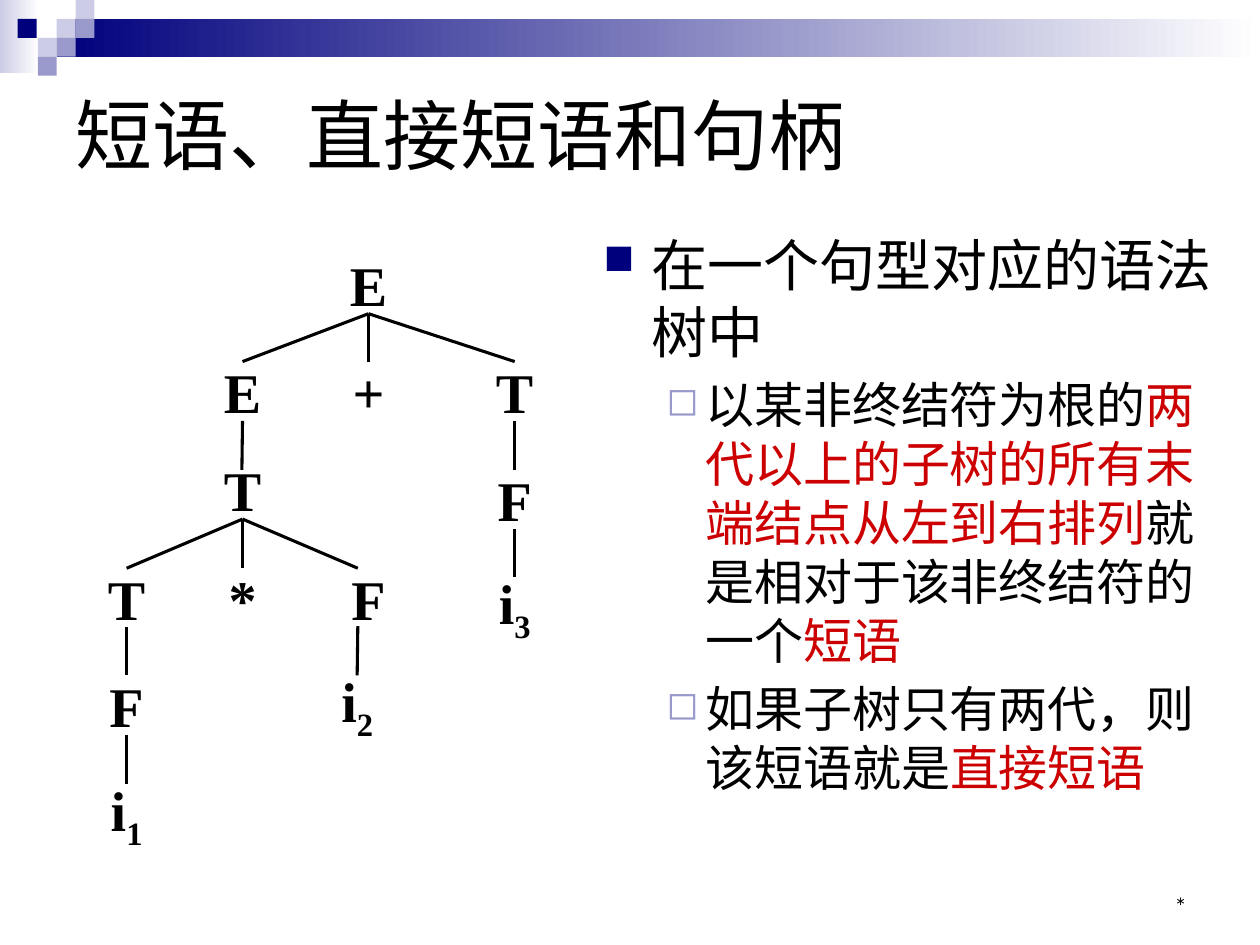
from dataclasses import dataclass

from lxml import etree
from pptx import Presentation
from pptx.dml.color import RGBColor
from pptx.enum.shapes import MSO_CONNECTOR, MSO_SHAPE
from pptx.enum.text import MSO_ANCHOR, PP_ALIGN
from pptx.oxml.ns import qn
from pptx.util import Inches, Pt

RECT = MSO_SHAPE.RECTANGLE
LINE = MSO_CONNECTOR.STRAIGHT
TOP, MID, LOW = MSO_ANCHOR.TOP, MSO_ANCHOR.MIDDLE, MSO_ANCHOR.BOTTOM
LEFT, MIDST, RIGHT = PP_ALIGN.LEFT, PP_ALIGN.CENTER, PP_ALIGN.RIGHT
HAN = "Noto Sans CJK SC"
BLACK, WHITE, RED = "000000", "FFFFFF", "CC0000"
NAVY, MAUVE, PALE = "00007D", "9999CC", "CCCCE6"
WIDE, HIGH = 0.67, 0.47


@dataclass
class Run:
    text: str
    hue: str = BLACK
    sub: bool = False


@dataclass
class Mark:
    char: str
    hue: str
    scale: int
    left: float
    hang: float


@dataclass
class Para:
    runs: list[Run]
    size: float
    mark: Mark | None = None
    gap: float = 0


@dataclass
class Node:
    x: float
    y: float
    text: str
    sub: str = ""


@dataclass
class Edge:
    head: str
    kid: str
    start: tuple[float, float] | None = None
    end: tuple[float, float] | None = None


@dataclass
class Tile:
    x: float
    y: float
    hue: str
    w: float = 0.15
    h: float = 0.15
    fade: bool = False


TILES = [
    Tile(0, 0, PALE, 0.31, 0.58, True),
    Tile(0.45, 0.15, NAVY, 9.55, 0.3, True),
    Tile(0.45, 0.15, PALE),
    Tile(0.6, 0, PALE),
    Tile(0.6, 0.15, MAUVE),
    Tile(0.3, 0.3, PALE),
    Tile(0.14, 0.15, NAVY),
    Tile(0.45, 0.3, MAUVE),
    Tile(0.3, 0.45, MAUVE),
]

NODES = {
    "root": Node(2.59, 2.02, "E"),
    "sum": Node(1.59, 2.87, "E"),
    "plus": Node(2.59, 2.87, "+"),
    "term": Node(3.75, 2.87, "T"),
    "prod": Node(1.59, 3.65, "T"),
    "left": Node(0.67, 4.51, "T"),
    "star": Node(1.59, 4.51, "*"),
    "right": Node(2.59, 4.51, "F"),
    "fact1": Node(0.67, 5.36, "F"),
    "fact3": Node(3.75, 3.73, "F"),
    "id1": Node(0.67, 6.22, "i", "1"),
    "id2": Node(2.5, 5.36, "i", "2"),
    "id3": Node(3.75, 4.58, "i", "3"),
}

EDGES = [
    Edge("root", "sum"),
    Edge("root", "plus"),
    Edge("root", "term"),
    Edge("sum", "prod", end=(1.92, 3.73)),
    Edge("prod", "left"),
    Edge("prod", "star"),
    Edge("prod", "right", end=(2.84, 4.51)),
    Edge("left", "fact1"),
    Edge("fact1", "id1"),
    Edge("right", "id2", start=(2.84, 4.97)),
    Edge("term", "fact3"),
    Edge("fact3", "id3"),
]

MAIN = Mark("■", NAVY, 75, 0.38, -0.38)
SUB = Mark("◻", MAUVE, 80, 0.81, -0.31)
BODY = [
    Para([Run("在一个句型对应的语法树中")], 32, MAIN),
    Para([Run("以某非终结符为根的"),
          Run("两代以上的子树的所有末端结点从左到右排列", RED),
          Run("就是相对于该非终结符的一个"),
          Run("短语", RED)], 28, SUB, 5.6),
    Para([Run("如果子树只有两代，则该短语就是"),
          Run("直接短语", RED)], 28, SUB, 5.6),
]


def color(code: str) -> RGBColor:
    """Turn a hex string into a colour."""
    return RGBColor.from_string(code)


def bullet(para, mark: Mark) -> None:
    """Give a paragraph its hanging bullet."""
    props = para._p.get_or_add_pPr()
    props.set("marL", str(Inches(mark.left)))
    props.set("indent", str(Inches(mark.hang)))
    tint = etree.SubElement(props, qn("a:buClr"))
    etree.SubElement(tint, qn("a:srgbClr"), val=mark.hue)
    etree.SubElement(props, qn("a:buSzPct"), val=str(mark.scale * 1000))
    etree.SubElement(props, qn("a:buChar"), char=mark.char)


def write(slide, x: float, y: float, w: float, h: float, paras: list[Para], *,
          face: str = HAN, bold: bool = False, align=LEFT, anchor=TOP,
          wrap: bool = True):
    """Add a text box holding formatted paragraphs."""
    box = slide.shapes.add_textbox(Inches(x), Inches(y), Inches(w), Inches(h))
    frame = box.text_frame
    frame.word_wrap, frame.vertical_anchor = wrap, anchor
    for i, item in enumerate(paras):
        para = frame.add_paragraph() if i else frame.paragraphs[0]
        para.alignment = align
        if item.gap:
            para.space_before = Pt(item.gap)
        if item.mark:
            bullet(para, item.mark)
        for part in item.runs:
            run = para.add_run()
            run.text = part.text
            font = run.font
            font.size, font.bold, font.name = Pt(item.size), bold, face
            font.color.rgb = color(part.hue)
            props = run._r.get_or_add_rPr()
            etree.SubElement(props, qn("a:ea"), typeface=HAN)
            if part.sub:
                props.set("baseline", "-25000")
    return box


def lay(slide, tile: Tile) -> None:
    """Draw one plain or fading tile of the header."""
    shape = slide.shapes.add_shape(
        RECT, Inches(tile.x), Inches(tile.y), Inches(tile.w), Inches(tile.h))
    shape.shadow.inherit = False
    shape.line.fill.background()
    if tile.fade:
        shape.fill.gradient()
        shape.fill.gradient_angle = 0
        for stop, hue in zip(shape.fill.gradient_stops, (tile.hue, WHITE)):
            stop.color.rgb = color(hue)
    else:
        shape.fill.solid()
        shape.fill.fore_color.rgb = color(tile.hue)


def plant(slide, node: Node):
    """Write one symbol of the syntax tree."""
    runs = [Run(node.text)] + ([Run(node.sub, sub=True)] if node.sub else [])
    return write(slide, node.x, node.y, WIDE, HIGH, [Para(runs, 32)],
                 face="Times New Roman", bold=True, align=MIDST, anchor=MID,
                 wrap=False)


def link(slide, edge: Edge, boxes: dict) -> None:
    """Draw a branch, joined to its symbols where no point is set."""
    x1, y1 = edge.start or (0, 0)
    x2, y2 = edge.end or (0, 0)
    line = slide.shapes.add_connector(
        LINE, Inches(x1), Inches(y1), Inches(x2), Inches(y2))
    if not edge.start:
        line.begin_connect(boxes[edge.head], 2)
    if not edge.end:
        line.end_connect(boxes[edge.kid], 0)
    line.line.color.rgb, line.line.width = color(BLACK), Pt(1.75)
    etree.SubElement(line._element.spPr, qn("a:effectLst"))


def main() -> None:
    """Build the slide and save it."""
    deck = Presentation()
    deck.slide_width, deck.slide_height = Inches(10), Inches(7.5)
    slide = deck.slides.add_slide(deck.slide_layouts[6])
    for tile in TILES:
        lay(slide, tile)
    write(slide, 7.17, 6.83, 2.33, 0.5, [Para([Run("*")], 12)],
          face="Montserrat", align=RIGHT, anchor=LOW)
    write(slide, 4.69, 1.78, 5.04, 5.22, BODY)
    boxes = {name: plant(slide, node) for name, node in NODES.items()}
    for edge in EDGES:
        link(slide, edge, boxes)
    write(slide, 0.5, 0.5, 9, 1.12, [Para([Run("短语、直接短语和句柄")], 44)],
          face="Arial", anchor=MID)
    deck.save("out.pptx")


if __name__ == "__main__":
    main()
